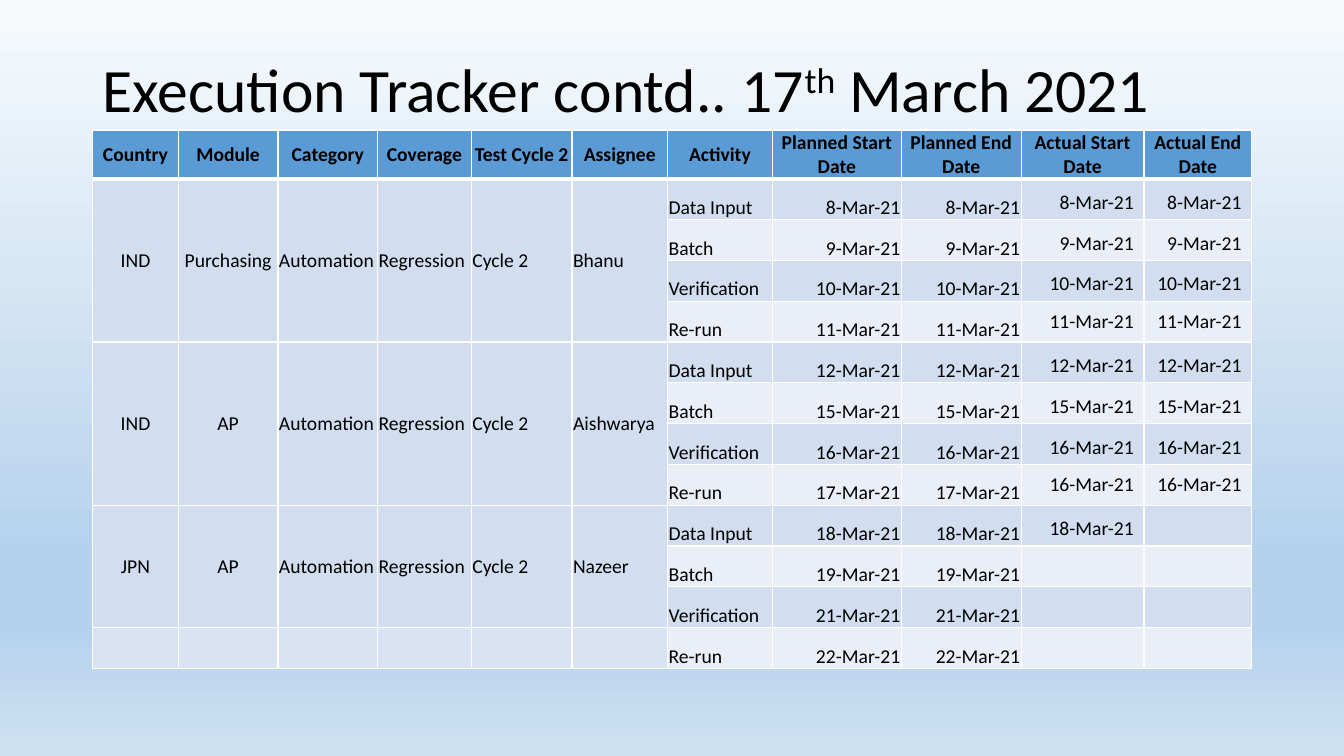
from copy import deepcopy
from dataclasses import dataclass
from itertools import cycle
from typing import Any

from lxml.etree import SubElement
from pptx import Presentation
from pptx.dml.color import RGBColor
from pptx.enum.text import MSO_ANCHOR, PP_ALIGN
from pptx.oxml.ns import qn
from pptx.util import Inches, Pt


@dataclass(frozen=True)
class Column:
    heading: str
    weight: float


@dataclass(frozen=True)
class Assignment:
    country: str
    module: str
    assignee: str
    first_row: int
    row_count: int

    def labels(self) -> list[str]:
        return [self.country, self.module, "Automation", "Regression", "Cycle 2", self.assignee]


@dataclass(frozen=True)
class Step:
    planned: str
    started: str = ""
    ended: str = ""


@dataclass(frozen=True)
class CellStyle:
    fill: str
    align: Any = PP_ALIGN.LEFT
    anchor: Any = MSO_ANCHOR.MIDDLE
    bold: bool = False
    tight: bool = True


COLUMNS = [
    Column("Country", 0.85), Column("Module", 0.99), Column("Category", 0.99),
    Column("Coverage", 0.93), Column("Test Cycle 2", 1), Column("Assignee", 0.95),
    Column("Activity", 1.04), Column("Planned Start Date", 1.28),
    Column("Planned End Date", 1.19), Column("Actual Start Date", 1.22),
    Column("Actual End Date", 1.07),
]
ASSIGNMENTS = [
    Assignment("IND", "Purchasing", "Bhanu", 1, 4),
    Assignment("IND", "AP", "Aishwarya", 5, 4),
    Assignment("JPN", "AP", "Nazeer", 9, 3),
]
ACTIVITIES = ["Data Input", "Batch", "Verification", "Re-run"]
STEPS = [
    Step("8-Mar-21", "8-Mar-21", "8-Mar-21"),
    Step("9-Mar-21", "9-Mar-21", "9-Mar-21"),
    Step("10-Mar-21", "10-Mar-21", "10-Mar-21"),
    Step("11-Mar-21", "11-Mar-21", "11-Mar-21"),
    Step("12-Mar-21", "12-Mar-21", "12-Mar-21"),
    Step("15-Mar-21", "15-Mar-21", "15-Mar-21"),
    Step("16-Mar-21", "16-Mar-21", "16-Mar-21"),
    Step("17-Mar-21", "16-Mar-21", "16-Mar-21"),
    Step("18-Mar-21", "18-Mar-21"),
    Step("19-Mar-21"), Step("21-Mar-21"), Step("22-Mar-21"),
]
BACKGROUND_STOPS = [(0, "F7FAFD"), (0.74, "B5D2EC"), (0.83, "B5D2EC"), (1, "CEE1F2")]
HEADER, DARK_BAND, LIGHT_BAND, UNASSIGNED = "5B9BD5", "D2DEEF", "EAEFF7", "DAE3F3"
ASSIGNMENT_COLUMNS = 6
SLIDE_WIDTH, SLIDE_HEIGHT = Inches(13.33), Inches(7.5)


def across(percent: float) -> int:
    return int(SLIDE_WIDTH * percent / 100)


def down(percent: float) -> int:
    return int(SLIDE_HEIGHT * percent / 100)


def color(value: str) -> RGBColor:
    return RGBColor.from_string(value)


def assign(target: Any, formats: dict[str, Any]) -> None:
    for name, value in formats.items():
        setattr(target, name, value)


def write_span(para: Any, text: str, size: float, bold: bool = False) -> Any:
    span = para.add_run()
    span.text = text
    assign(span.font, {"name": "Calibri", "size": Pt(size), "bold": bold})
    span.font.color.rgb = color("000000")
    return span


def paint_background(page: Any) -> None:
    fill = page.background.fill
    fill.gradient()
    fill.gradient_angle = 270
    stop_list = next(page.element.iter(qn("a:gsLst")))
    for _ in range(len(BACKGROUND_STOPS) - len(stop_list)):
        stop_list.append(deepcopy(stop_list[0]))
    for stop, (position, shade) in zip(fill.gradient_stops, BACKGROUND_STOPS):
        stop.position = position
        stop.color.rgb = color(shade)


def write_title(page: Any) -> None:
    box = page.shapes.title
    assign(box, {"left": across(6.9), "top": down(5.33),
                 "width": across(86.25), "height": down(13.73)})
    assign(box.text_frame, {"vertical_anchor": MSO_ANCHOR.MIDDLE, "word_wrap": True})
    para = box.text_frame.paragraphs[0]
    assign(para, {"alignment": PP_ALIGN.LEFT, "line_spacing": 0.9})
    write_span(para, "Execution Tracker contd.. 17", 44)
    write_span(para, "th", 44).font._element.set("baseline", "30000")
    write_span(para, " March 2021", 44)


def draw_borders(cell: Any, row: int) -> None:
    properties = cell._tc.get_or_add_tcPr()
    widths = {"L": 1, "R": 1, "T": 3 if row == 1 else 1, "B": 3 if row == 0 else 1}
    for index, (side, width) in enumerate(widths.items()):
        line = SubElement(properties, qn(f"a:ln{side}"), w=str(Pt(width)))
        SubElement(SubElement(line, qn("a:solidFill")), qn("a:srgbClr"), val="FFFFFF")
        properties.insert(index, line)


def write_cell(table: Any, row: int, column: int, text: str, style: CellStyle) -> None:
    cell = table.cell(row, column)
    cell.fill.solid()
    cell.fill.fore_color.rgb = color(style.fill)
    cell.vertical_anchor = style.anchor
    if style.tight:
        assign(cell, {"margin_left": Inches(0.01), "margin_right": Inches(0.01),
                      "margin_top": Inches(0.01), "margin_bottom": 0})
    para = cell.text_frame.paragraphs[0]
    para.alignment = style.align
    if text:
        write_span(para, text, 14, style.bold)
    draw_borders(cell, row)


def write_assignments(table: Any) -> None:
    for assignment in ASSIGNMENTS:
        last_row = assignment.first_row + assignment.row_count - 1
        for column, label in enumerate(assignment.labels()):
            align = PP_ALIGN.CENTER if column < 2 else PP_ALIGN.LEFT
            for row in range(assignment.first_row, last_row + 1):
                text = label if row == assignment.first_row else ""
                write_cell(table, row, column, text, CellStyle(DARK_BAND, align))
            table.cell(assignment.first_row, column).merge(table.cell(last_row, column))
    for column in range(ASSIGNMENT_COLUMNS):
        write_cell(table, len(STEPS), column, "", CellStyle(UNASSIGNED))


def write_steps(table: Any) -> None:
    for row, (step, activity) in enumerate(zip(STEPS, cycle(ACTIVITIES)), 1):
        band = DARK_BAND if row % 2 else LIGHT_BAND
        actual_anchor = MSO_ANCHOR.MIDDLE if activity == "Re-run" else MSO_ANCHOR.BOTTOM
        name = CellStyle(band, anchor=MSO_ANCHOR.BOTTOM)
        planned = CellStyle(band, PP_ALIGN.RIGHT, MSO_ANCHOR.BOTTOM)
        actual = CellStyle(band, PP_ALIGN.RIGHT, actual_anchor, tight=False)
        entries = [(activity, name), (step.planned, planned), (step.planned, planned),
                   (step.started, actual), (step.ended, actual)]
        for column, (text, style) in enumerate(entries, ASSIGNMENT_COLUMNS):
            write_cell(table, row, column, text, style)


def draw_tracker(page: Any) -> None:
    header_height, row_height = down(6.4), down(5.4)
    width = across(86.25)
    frame = page.shapes.add_table(
        len(STEPS) + 1, len(COLUMNS), across(6.9), down(17.2),
        width, header_height + row_height * len(STEPS))
    table = frame.table
    total_weight = sum(column.weight for column in COLUMNS)
    for index, column in enumerate(COLUMNS):
        table.columns[index].width = int(width * column.weight / total_weight)
        write_cell(table, 0, index, column.heading,
                   CellStyle(HEADER, PP_ALIGN.CENTER, bold=True))
    for index, row in enumerate(table.rows):
        row.height = row_height if index else header_height
    write_assignments(table)
    write_steps(table)


def main() -> None:
    deck = Presentation()
    assign(deck, {"slide_width": SLIDE_WIDTH, "slide_height": SLIDE_HEIGHT})
    page = deck.slides.add_slide(deck.slide_layouts.get_by_name("Title Only"))
    paint_background(page)
    write_title(page)
    draw_tracker(page)
    deck.save("out.pptx")


if __name__ == "__main__":
    main()
